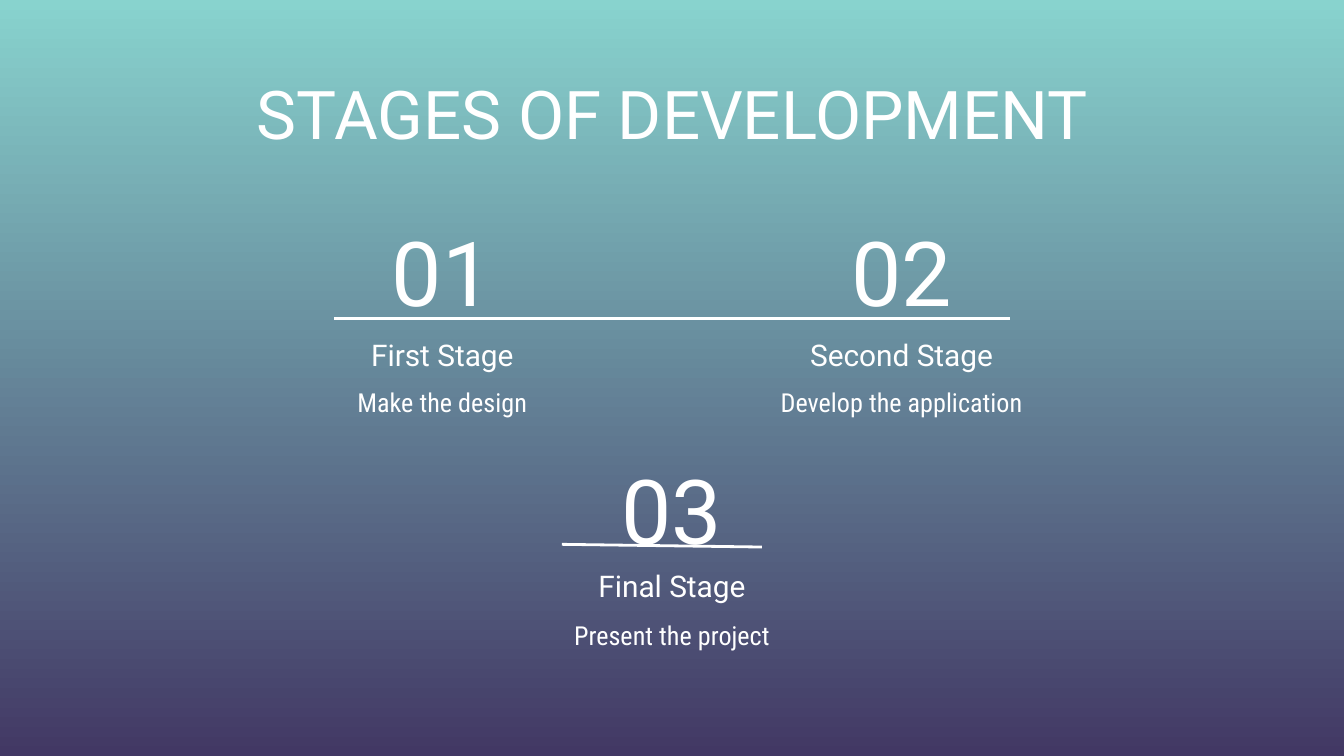
import dataclasses

import pptx
import pptx.dml.color
import pptx.enum.shapes
import pptx.enum.text
import pptx.oxml
import pptx.util

Cm = pptx.util.Cm
Pt = pptx.util.Pt
RGB = pptx.dml.color.RGBColor
ANCHOR = pptx.enum.text.MSO_ANCHOR


@dataclasses.dataclass(frozen=True)
class Theme:
    top: str = "88D3CE"
    bottom: str = "423864"
    ink: str = "FFFFFF"
    font: str = "Roboto"
    body_font: str = "Roboto Condensed"
    title_size: int = 36
    number_size: int = 48
    heading_size: int = 16
    body_size: int = 14
    line_width: float = 1.5
    inset: float = 0.25


class Deck:
    def __init__(self, theme):
        self.theme = theme
        self.prs = pptx.Presentation()
        self.prs.slide_width = Cm(25.4)
        self.prs.slide_height = Cm(14.29)
        self.s = None

    def add_slide(self):
        self.s = self.prs.slides.add_slide(self.prs.slide_layouts[5])
        fill = self.s.background.fill
        fill.gradient()
        fill.gradient_angle = 270
        for stop, color in zip(fill.gradient_stops, (self.theme.top, self.theme.bottom)):
            stop.color.rgb = RGB.from_string(color)

    def set_text(self, sp, text, size, font, anchor):
        tf = sp.text_frame
        tf.word_wrap = True
        tf.auto_size = pptx.enum.text.MSO_AUTO_SIZE.NONE
        tf.vertical_anchor = anchor
        tf.margin_left = tf.margin_right = Cm(self.theme.inset)
        tf.margin_top = tf.margin_bottom = Cm(self.theme.inset)
        p = tf.paragraphs[0]
        p.alignment = pptx.enum.text.PP_ALIGN.CENTER
        r = p.add_run()
        r.text = text
        r.font.size = Pt(size)
        r.font.name = font
        r.font.color.rgb = RGB.from_string(self.theme.ink)

    def title(self, text, x, y, w, h):
        sp = self.s.shapes.title
        sp.left, sp.top, sp.width, sp.height = Cm(x), Cm(y), Cm(w), Cm(h)
        self.set_text(sp, text, self.theme.title_size, self.theme.font, ANCHOR.TOP)

    def text(self, text, center, y, w, size, font, anchor, h=1.6):
        sp = self.s.shapes.add_textbox(Cm(center - w / 2), Cm(y), Cm(w), Cm(h))
        self.set_text(sp, text, size, font, anchor)

    def stage(self, number, heading, body, center, tops):
        t = self.theme
        number_y, heading_y, body_y = tops
        self.text(number, center, number_y, 4.88, t.number_size, t.font, ANCHOR.MIDDLE)
        self.text(heading, center, heading_y, 7.32, t.heading_size, t.font, ANCHOR.BOTTOM)
        self.text(body, center, body_y, 5.28, t.body_size, t.body_font, ANCHOR.TOP)

    def line(self, x1, y1, x2, y2):
        sp = self.s.shapes.add_connector(
            pptx.enum.shapes.MSO_CONNECTOR.STRAIGHT, Cm(x1), Cm(y1), Cm(x2), Cm(y2))
        sp.line.color.rgb = RGB.from_string(self.theme.ink)
        sp.line.width = Pt(self.theme.line_width)
        sp._element.spPr.append(pptx.oxml.parse_xml(
            '<a:effectLst xmlns:a="http://schemas.openxmlformats.org/drawingml/2006/main"/>'))


def main():
    upper = (4.32, 5.69, 7.06)
    lower = (8.81, 10.06, 11.46)
    middle, offset = 12.7, 4.34
    stages = [
        ("01", "First Stage", "Make the design", middle - offset, upper),
        ("02", "Second Stage", "Develop the application", middle + offset, upper),
        ("03", "Final Stage", "Present the project", middle, lower),
    ]
    deck = Deck(Theme())
    deck.add_slide()
    deck.title("STAGES OF DEVELOPMENT", 3.12, 1.12, 19.18, 2.62)
    for stage in stages:
        deck.stage(*stage)
    deck.line(6.32, 6.02, 19.08, 6.02)
    deck.line(10.62, 10.29, 14.4, 10.34)
    deck.prs.save("out.pptx")


if __name__ == "__main__":
    main()
